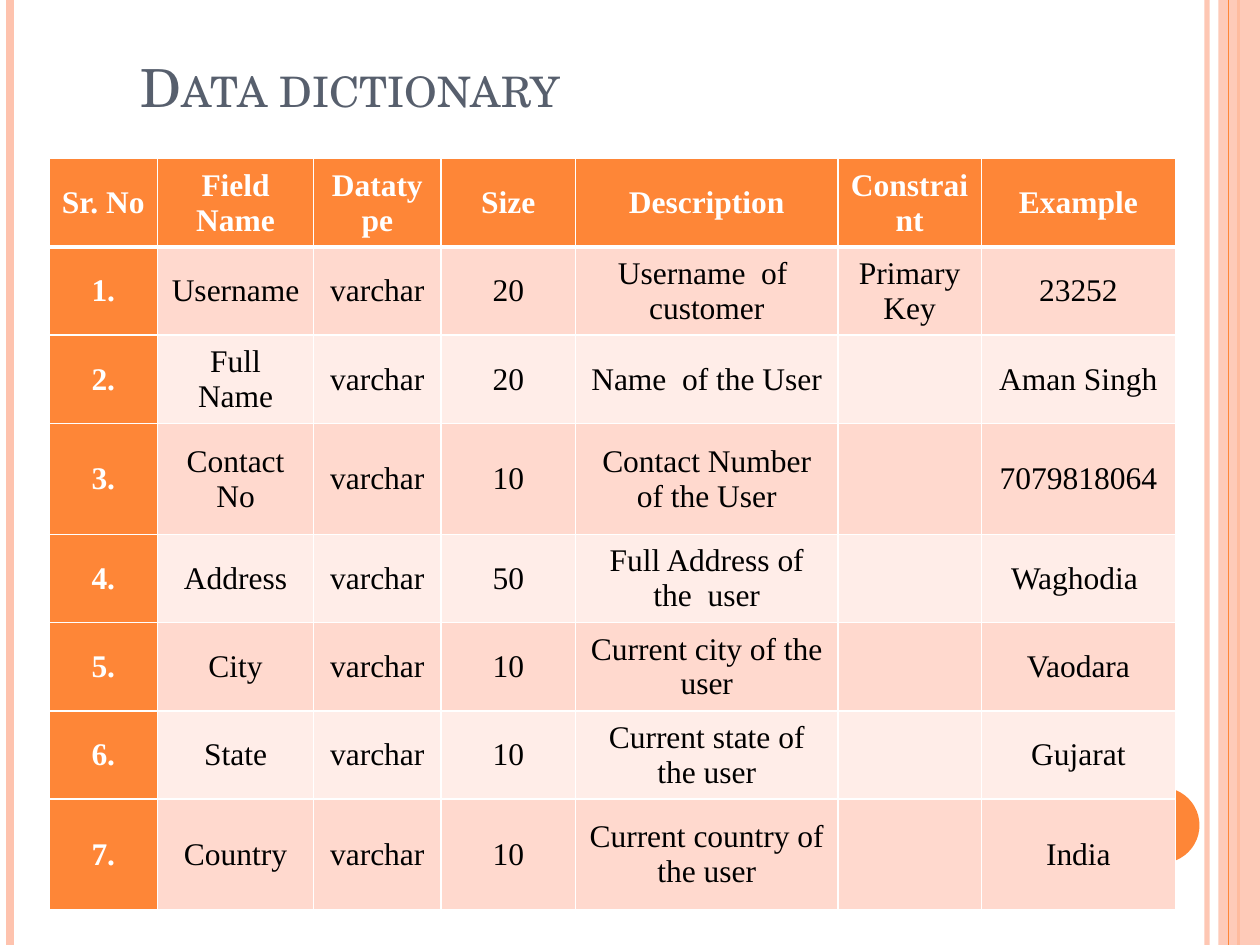
from pptx import Presentation
from pptx.dml.color import RGBColor
from pptx.enum.shapes import MSO_CONNECTOR as Conn, MSO_SHAPE as Shape
from pptx.enum.text import MSO_ANCHOR as Anchor, PP_ALIGN as Align
from pptx.oxml import parse_xml
from pptx.oxml.ns import nsdecls
from pptx.util import Inches, Pt

ORANGE = RGBColor(0xFE, 0x86, 0x37)
PEACH = RGBColor(0xFE, 0xC3, 0xAE)
DARK = RGBColor(0xFF, 0xD9, 0xCE)
LIGHT = RGBColor(0xFF, 0xED, 0xE8)
SLATE = RGBColor(0x57, 0x5F, 0x6D)
WHITE = RGBColor(0xFF, 0xFF, 0xFF)
BLACK = RGBColor(0, 0, 0)

# Content
TITLE = "Data dictionary"
HEAD = ["Sr. No", "Field Name", "Datatype", "Size", "Description",
        "Constraint", "Example"]
FIELDS = [  # name, size, description, constraint, example
    ("Username", "20", "Username  of  customer", "Primary Key", "23252"),
    ("Full Name", "20", "Name  of the User", "", "Aman Singh"),
    ("Contact No", "10", "Contact Number of the User", "", "7079818064"),
    ("Address", "50", "Full Address of the  user", "", "Waghodia "),
    ("City", "10", "Current city of the user", "", "Vaodara"),
    ("State", "10", "Current state of the user", "", "Gujarat"),
    ("Country", "10", "Current country of the user", "", "India"),
]
WIDTHS = [0.86, 1.24, 1.01, 1.07, 2.08, 1.14, 1.54]
HEIGHTS = [0.66, 0.69, 0.66, 0.88, 0.66, 0.66, 0.66, 0.88]

# Upright rules: x, colour, points, opacity in percent
BACK_RULES = [(9.58, PEACH, 3, 93), (0.08, PEACH, 4.5, 100),
              (9.83, ORANGE, 1.5, 100)]
FRONT_RULES = [(9.75, ORANGE, 0.75, 100)]

prs = Presentation()
prs.slide_width, prs.slide_height = Inches(10), Inches(7.5)
slide = prs.slides.add_slide(prs.slide_layouts[6])
shapes = slide.shapes


def fade(part, percent):
    """Set the opacity of the first colour in a shape or line."""
    color = part._element.spPr.find(".//{*}srgbClr")
    color.append(parse_xml(
        f'<a:alpha {nsdecls("a")} val="{percent * 1000}"/>'))


def add_rules(rules):
    for x, color, width, alpha in rules:
        rule = shapes.add_connector(Conn.STRAIGHT, Inches(x), 0,
                                    Inches(x), prs.slide_height)
        rule.line.color.rgb = color
        rule.line.width = Pt(width)
        if alpha < 100:
            fade(rule, alpha)
        rule._element.spPr.append(
            parse_xml(f'<a:effectLst {nsdecls("a")}/>'))


def add_solid(kind, color, *box):
    solid = shapes.add_shape(kind, *map(Inches, box))
    solid.shadow.inherit = False
    solid.fill.solid()
    solid.fill.fore_color.rgb = color
    solid.line.fill.background()
    return solid


def style(run, font, size, color, bold=False):
    run.font.name, run.font.size = font, Pt(size)
    run.font.color.rgb, run.font.bold = color, bold


def set_edges(cell, top, bottom):
    props = cell._tc.get_or_add_tcPr()
    for side, width in (("L", 1), ("R", 1), ("T", top), ("B", bottom)):
        props.append(parse_xml(
            f'<a:ln{side} {nsdecls("a")} w="{Pt(width)}"><a:solidFill>'
            f'<a:srgbClr val="{WHITE}"/></a:solidFill></a:ln{side}>'))


# Side bands and disc
add_rules(BACK_RULES)
fade(add_solid(Shape.RECTANGLE, PEACH, 9.67, 0, 0.33, 7.5), 87)
add_rules(FRONT_RULES)
add_solid(Shape.OVAL, ORANGE, 8.92, 6.25, 0.6, 0.6)

# Title
box = shapes.add_textbox(*map(Inches, (1.02, 0.36, 7.7, 0.63)))
frame = box.text_frame
frame.word_wrap = True
frame.vertical_anchor = Anchor.BOTTOM
frame.text = TITLE
run = frame.paragraphs[0].runs[0]
style(run, "TeX Gyre Schola", 30, SLATE)
run._r.get_or_add_rPr().set("cap", "small")

# Table
rows = [HEAD] + [[f"{n}.", name, "varchar", *rest]
                 for n, (name, *rest) in enumerate(FIELDS, 1)]
table = shapes.add_table(len(rows), len(HEAD), Inches(0.39), Inches(1.26),
                         Inches(sum(WIDTHS)), Inches(sum(HEIGHTS))).table
table.first_col = True
for col, width in zip(table.columns, WIDTHS):
    col.width = Inches(width)
for r, (texts, height) in enumerate(zip(rows, HEIGHTS)):
    table.rows[r].height = Inches(height)
    for c, text in enumerate(texts):
        cell = table.cell(r, c)
        strong = r == 0 or c == 0
        set_edges(cell, 3 if r == 1 else 1, 3 if r == 0 else 1)
        cell.fill.solid()
        cell.fill.fore_color.rgb = (
            ORANGE if strong else DARK if r % 2 else LIGHT)
        cell.vertical_anchor = Anchor.MIDDLE
        cell.text_frame.text = text
        para = cell.text_frame.paragraphs[0]
        para.alignment = Align.CENTER
        for run in para.runs:
            style(run, "Times New Roman", 18,
                  WHITE if strong else BLACK, strong)

prs.save("out.pptx")
